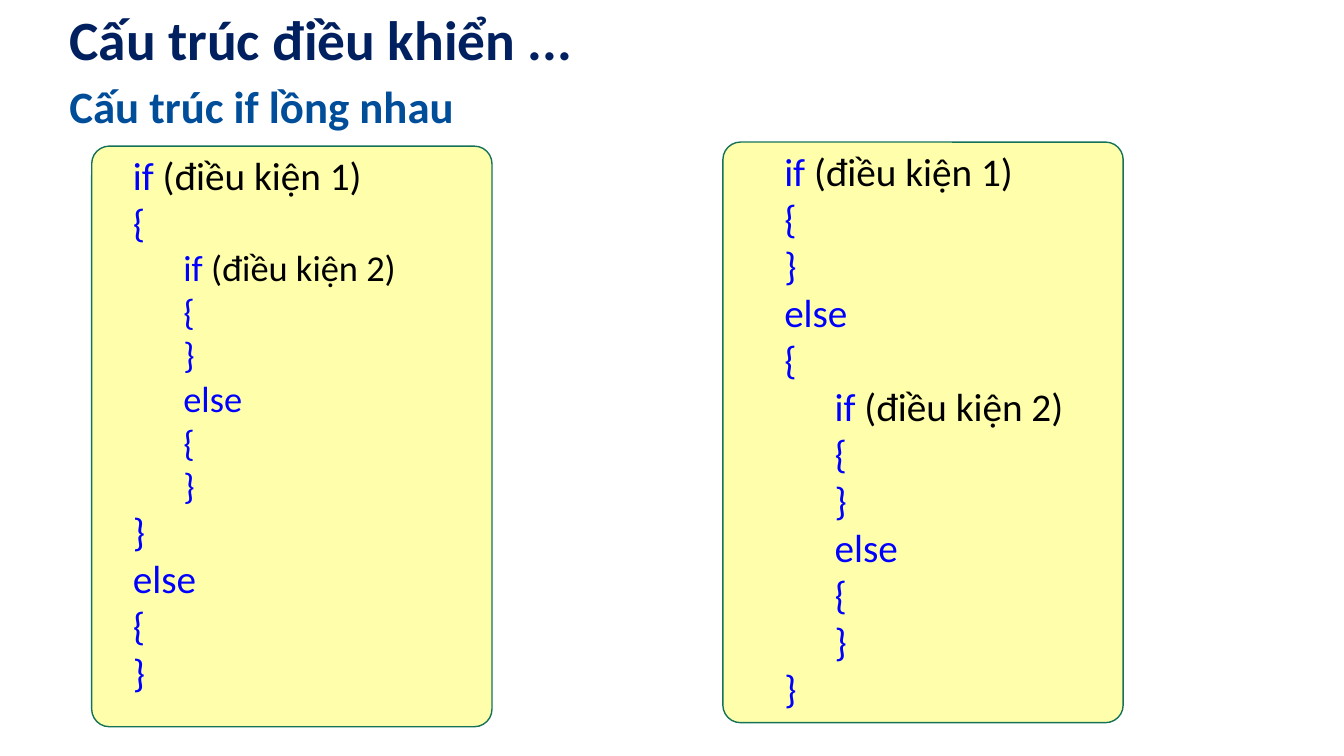
from pptx import Presentation
from pptx.dml.color import RGBColor as RGB
from pptx.enum.shapes import MSO_SHAPE as Shape
from pptx.enum.text import MSO_ANCHOR as Anchor
from pptx.util import Inches, Pt

FONT = "Calibri"
COLORS = {"title": "002060", "sub": "004D99", "panel": "FFFFAB",
          "edge": "157259", "key": "0000FF", "cond": "000000"}

HEADS = [
    ("Cấu trúc điều khiển ...", (0.59, 0.02, 12.2, 0.71), 39.6, "title", Anchor.MIDDLE),
    ("Cấu trúc if lồng nhau", (0.59, 0.73, 6.03, 6.66), 32, "sub", Anchor.TOP),
]

OUTER = ("if", " (điều kiện 1)")
INNER = ("if", " (điều kiện 2)")
BLOCK = [("{",), ("}",)]
NESTED = [(1, line) for line in [INNER, *BLOCK, ("else",), *BLOCK]]

IN_IF = [(0, OUTER), (0, ("{",)), *NESTED, (0, ("}",)),
         (0, ("else",)), (0, ("{",)), (0, ("}",))]
IN_ELSE = [(0, OUTER), (0, ("{",)), (0, ("}",)),
           (0, ("else",)), (0, ("{",)), *NESTED, (0, ("}",))]

PANEL = (3.97, 5.76)
CODES = [
    (IN_ELSE, (7.17, 1.41), (6.68, 1.41, 6.31, 5.76), (28, 28)),
    (IN_IF, (0.91, 1.45), (0.22, 1.45, 6.31, 5.55), (28, 26)),
]


def color(name):
    return RGB.from_string(COLORS[name])


def style(run, size, name, bold=False):
    run.font.name = FONT
    run.font.size = Pt(size)
    run.font.bold = bold
    run.font.color.rgb = color(name)


def add_box(slide, area):
    frame = slide.shapes.add_textbox(*map(Inches, area)).text_frame
    frame.word_wrap = True
    return frame


def add_panel(slide, spot):
    panel = slide.shapes.add_shape(Shape.ROUNDED_RECTANGLE, *map(Inches, spot + PANEL))
    panel.adjustments[0] = 0.044
    panel.shadow.inherit = False
    panel.fill.solid()
    panel.fill.fore_color.rgb = color("panel")
    panel.line.color.rgb = color("edge")
    panel.line.width = Pt(1)


def add_head(slide, text, area, size, name, anchor):
    frame = add_box(slide, area)
    frame.vertical_anchor = anchor
    frame.text = text
    style(frame.paragraphs[0].runs[0], size, name, True)


def add_code(slide, lines, area, sizes):
    frame = add_box(slide, area)
    for i, (depth, parts) in enumerate(lines):
        para = frame.add_paragraph() if i else frame.paragraphs[0]
        para.level = depth + 1
        props = para._p.get_or_add_pPr()
        props.set("marL", str(Inches(1 + depth * 0.5)))
        props.set("indent", "0")
        for part, name in zip(parts, ("key", "cond")):
            run = para.add_run()
            run.text = part
            style(run, sizes[depth], name)


def main():
    deck = Presentation()
    deck.slide_width, deck.slide_height = Inches(13.33), Inches(7.5)
    slide = deck.slides.add_slide(deck.slide_layouts[6])
    for _, spot, _, _ in CODES:
        add_panel(slide, spot)
    for head in HEADS:
        add_head(slide, *head)
    for lines, _, area, sizes in CODES:
        add_code(slide, lines, area, sizes)
    deck.save("out.pptx")


if __name__ == "__main__":
    main()
